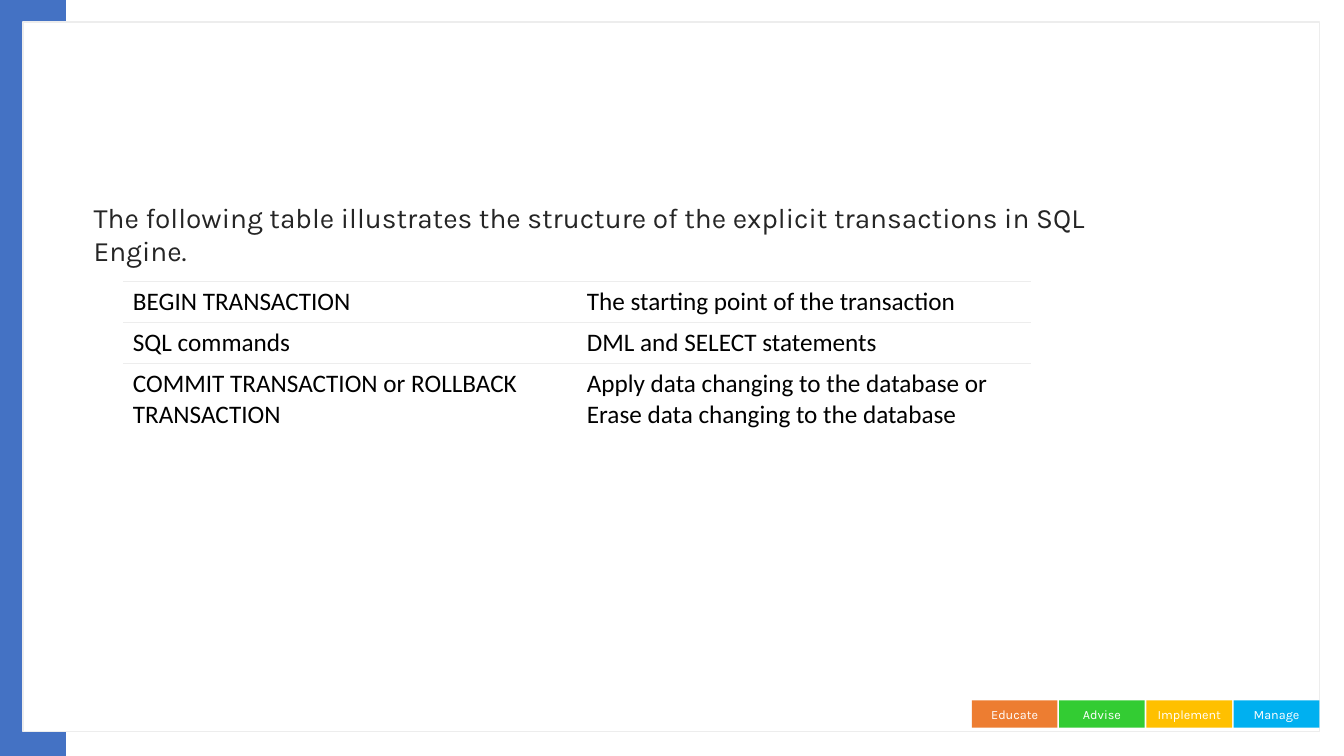
from dataclasses import dataclass

from lxml import etree
from pptx import Presentation
from pptx.dml.color import RGBColor
from pptx.enum.shapes import MSO_SHAPE
from pptx.enum.text import MSO_ANCHOR, PP_ALIGN
from pptx.oxml.ns import qn
from pptx.util import Cm, Pt

RECTANGLE = MSO_SHAPE.RECTANGLE
MIDDLE = MSO_ANCHOR.MIDDLE
CENTER = PP_ALIGN.CENTER
LEFT = PP_ALIGN.LEFT

WHITE, PALE_GREY = "FFFFFF", "EDEDED"
BORDER_WIDTH = Pt(0.6)


@dataclass(frozen=True)
class Area:
    left: float
    top: float
    width: float
    height: float

    def lengths(self) -> tuple:
        return Cm(self.left), Cm(self.top), Cm(self.width), Cm(self.height)


@dataclass(frozen=True)
class TextStyle:
    font: str
    size: float
    color: str
    align: PP_ALIGN = LEFT


@dataclass(frozen=True)
class Tag:
    label: str
    fill: str


TAG_STYLE = TextStyle("Karla", 9, WHITE, CENTER)
INTRO_STYLE = TextStyle("Karla", 20, "252525")
CELL_STYLE = TextStyle("Calibri", 18, "000000")

TAGS = [
    Tag("Educate", "ED7D31"),
    Tag("Advise", "33CC33"),
    Tag("Implement", "FFC000"),
    Tag("Manage", "00B0F0"),
]
FIRST_TAG = Area(24.49, 17.65, 2.16, 0.69)
TAG_STEP = 2.2

INTRO = (
    "The following table illustrates the structure of the explicit "
    "transactions in SQL Engine."
)
TRANSACTION_STEPS = [
    ("BEGIN TRANSACTION", "The starting point of the transaction"),
    ("SQL commands", "DML and SELECT statements"),
    (
        "COMMIT TRANSACTION or ROLLBACK TRANSACTION",
        "Apply data changing to the database or Erase data changing to the database",
    ),
]
ROW_HEIGHTS = [1.03, 1.03, 1.8]
TABLE_AREA = Area(3.1, 7.09, 22.88, sum(ROW_HEIGHTS))


def rgb(code: str) -> RGBColor:
    return RGBColor.from_string(code)


def apply(target, values: dict) -> None:
    for name, value in values.items():
        setattr(target, name, value)


def write(frame, text: str, style: TextStyle) -> None:
    para = frame.paragraphs[0]
    para.alignment = style.align
    span = para.add_run()
    span.text = text
    apply(span.font, {"name": style.font, "size": Pt(style.size), "bold": False})
    span.font.color.rgb = rgb(style.color)


def add_panel(page, area: Area, fill: str, line: str = ""):
    box = page.shapes.add_shape(RECTANGLE, *area.lengths())
    box.shadow.inherit = False
    box.fill.solid()
    box.fill.fore_color.rgb = rgb(fill)
    if line:
        box.line.color.rgb = rgb(line)
        box.line.width = Pt(1)
    else:
        box.line.fill.background()
    return box


def add_tags(page) -> None:
    for index, tag in enumerate(TAGS):
        area = Area(FIRST_TAG.left + index * TAG_STEP, FIRST_TAG.top,
                    FIRST_TAG.width, FIRST_TAG.height)
        frame = add_panel(page, area, tag.fill).text_frame
        apply(frame, {
            "vertical_anchor": MIDDLE, "word_wrap": True,
            "margin_left": 0, "margin_right": 0,
            "margin_top": 0, "margin_bottom": 0,
        })
        write(frame, tag.label, TAG_STYLE)


def set_borders(cell, ruled: str) -> None:
    properties = cell._tc.get_or_add_tcPr()
    for position, side in enumerate("LRTB"):
        line = etree.Element(qn(f"a:ln{side}"), w=str(BORDER_WIDTH))
        if side in ruled:
            paint = etree.SubElement(line, qn("a:solidFill"))
            etree.SubElement(paint, qn("a:srgbClr"), val=PALE_GREY)
        else:
            etree.SubElement(line, qn("a:noFill"))
        properties.insert(position, line)


def add_steps_table(page) -> None:
    table = page.shapes.add_table(
        len(TRANSACTION_STEPS), 2, *TABLE_AREA.lengths()).table
    apply(table, {"first_row": False, "horz_banding": False})
    last = len(TRANSACTION_STEPS) - 1
    for row, texts in enumerate(TRANSACTION_STEPS):
        table.rows[row].height = Cm(ROW_HEIGHTS[row])
        for column, text in enumerate(texts):
            cell = table.cell(row, column)
            apply(cell, {
                "vertical_anchor": MIDDLE,
                "margin_left": Cm(0.25), "margin_right": Cm(0.2),
                "margin_top": Cm(0.13), "margin_bottom": Cm(0.13),
            })
            cell.fill.solid()
            cell.fill.fore_color.rgb = rgb(WHITE)
            set_borders(cell, "T" if row == last else "TB")
            write(cell.text_frame, text, CELL_STYLE)


def add_intro(page) -> None:
    box = page.shapes.add_textbox(*Area(2.11, 5.33, 26.87, 1.12).lengths())
    apply(box.text_frame, {"word_wrap": True, "vertical_anchor": MIDDLE})
    write(box.text_frame, INTRO, INTRO_STYLE)


def main() -> None:
    deck = Presentation()
    apply(deck, {"slide_width": Cm(33.87), "slide_height": Cm(19.05)})
    page = deck.slides.add_slide(deck.slide_layouts[6])

    # Side band and framed panel
    add_panel(page, Area(0, 0, 1.66, 19.05), "4472C4")
    add_panel(page, Area(0.58, 0.56, 32.67, 17.88), WHITE, PALE_GREY)

    # Footer tags
    add_tags(page)

    # Introduction and table
    add_steps_table(page)
    add_intro(page)

    deck.save("out.pptx")


if __name__ == "__main__":
    main()
